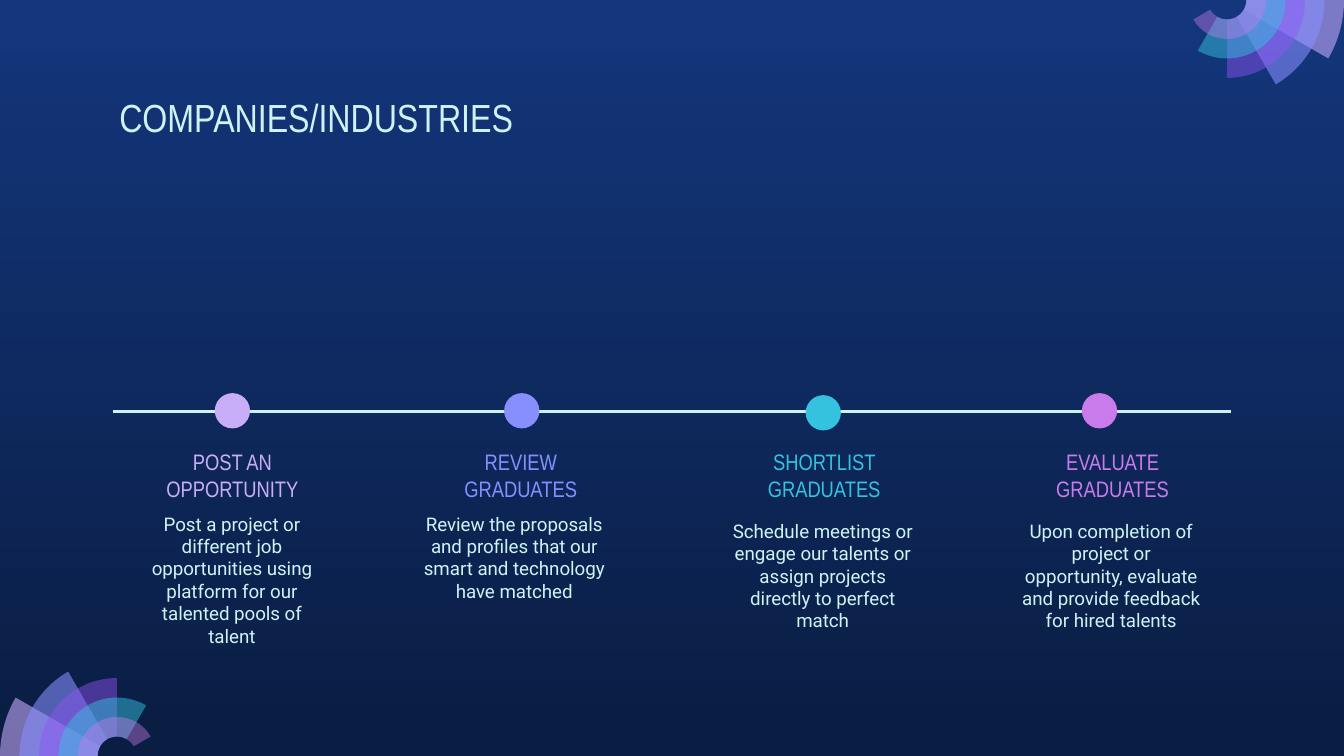
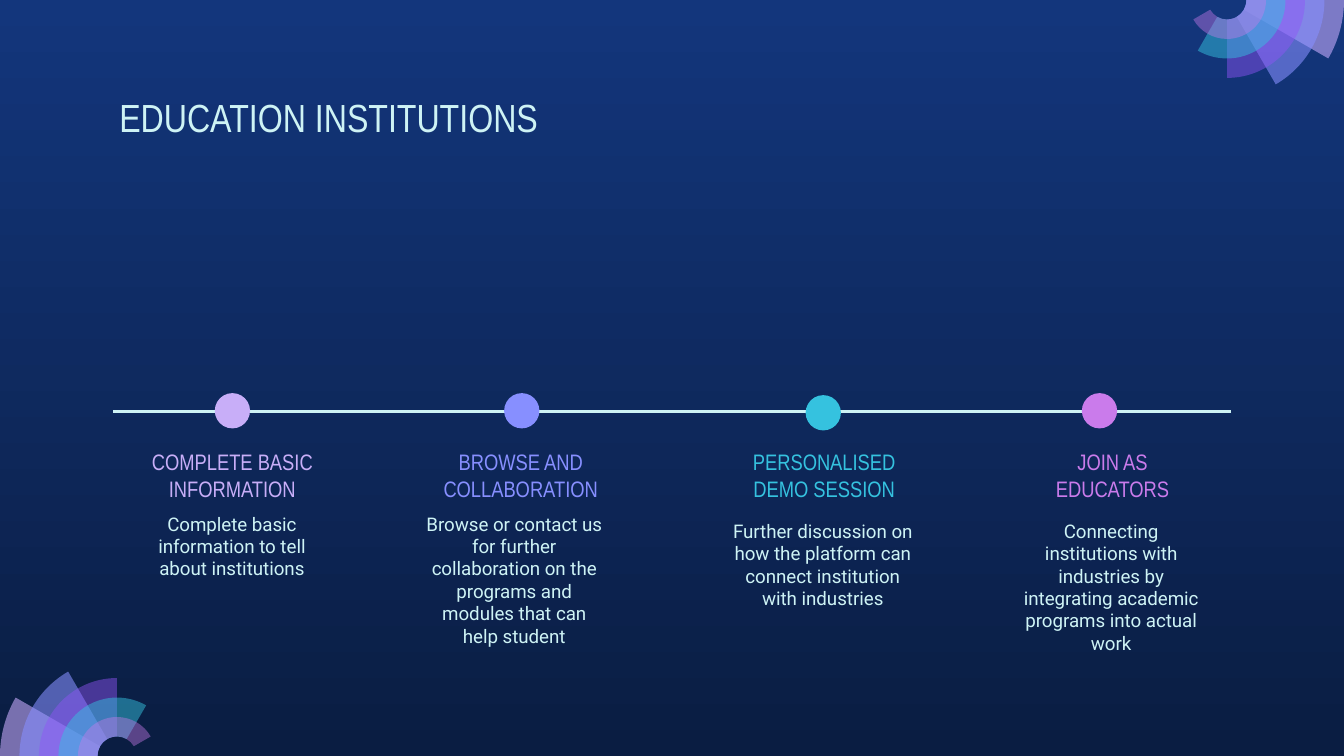
"""Build two four-step timeline slides that share corner fans, title style and gradient."""
import math
from dataclasses import dataclass

import lxml.etree
import pptx
import pptx.dml.color
import pptx.enum.shapes
import pptx.enum.text
import pptx.oxml.ns
import pptx.util

Inches = pptx.util.Inches
Pt = pptx.util.Pt
qn = pptx.oxml.ns.qn


@dataclass(frozen=True)
class Theme:
    top: str = "13367C"
    bottom: str = "0A1D42"
    ice: str = "CEF3F5"
    lilac: str = "C8AEF8"
    pale_lilac: str = "C8ACFD"
    periwinkle: str = "878FFF"
    violet: str = "9154F8"
    cyan: str = "35C2DF"
    orchid: str = "CA7BEB"
    head_font: str = "Arial Narrow"
    body_font: str = "Roboto"
    title_size: float = 28
    head_size: float = 16
    body_size: float = 13.33
    inset: float = 9.6


@dataclass(frozen=True)
class Ring:
    color: str
    alpha: int


@dataclass(frozen=True)
class Column:
    color: str
    dot: tuple[float, float]
    head: tuple[float, float]
    body: tuple[float, float]


@dataclass(frozen=True)
class Step:
    head: str
    body: str


@dataclass(frozen=True)
class Timeline:
    title: str
    steps: tuple[Step, ...]


T = Theme()
WIDTH, HEIGHT = 13.33, 7.5
FAN_RADIUS = 1.16
FAN_STEPS = 6
RINGS = (
    Ring(T.pale_lilac, 58),
    Ring(T.periwinkle, 58),
    Ring(T.violet, 46),
    Ring(T.cyan, 49),
    Ring(T.orchid, 42),
)
AXIS_Y, AXIS_LEFT, AXIS_RIGHT = 4.08, 1.12, 12.21
DOT = 0.35
HEAD_TOP, HEAD_W = 4.31, 1.93
BODY_W, BODY_H = 2.06, 1.09
COLUMNS = (
    Column(T.lilac, (2.13, 3.9), (1.34, 0.71), (1.27, 4.95)),
    Column(T.periwinkle, (5, 3.9), (4.2, 0.54), (4.07, 4.95)),
    Column(T.cyan, (7.99, 3.92), (7.21, 0.54), (7.13, 5.02)),
    Column(T.orchid, (10.73, 3.9), (10.07, 0.54), (9.99, 5.02)),
)
TIMELINES = (
    Timeline("COMPANIES/INDUSTRIES", (
        Step("POST AN OPPORTUNITY",
             "Post a project or different job opportunities using platform "
             "for our talented pools of talent"),
        Step("REVIEW GRADUATES",
             "Review the proposals and profiles that our smart and "
             "technology have matched"),
        Step("SHORTLIST GRADUATES",
             "Schedule meetings or engage our talents or assign projects "
             "directly to perfect match"),
        Step("EVALUATE GRADUATES",
             "Upon completion of project or opportunity, evaluate and "
             "provide feedback for hired talents"),
    )),
    Timeline("EDUCATION INSTITUTIONS", (
        Step("COMPLETE BASIC INFORMATION",
             "Complete basic information to tell about institutions"),
        Step("BROWSE AND COLLABORATION",
             "Browse or contact us for further collaboration on the "
             "programs and modules that can help student"),
        Step("PERSONALISED DEMO SESSION",
             "Further discussion on how the platform can connect "
             "institution with industries"),
        Step("JOIN AS EDUCATORS",
             "Connecting institutions with industries by integrating "
             "academic programs into actual work"),
    )),
)


def rgb(color: str) -> pptx.dml.color.RGBColor:
    return pptx.dml.color.RGBColor.from_string(color)


def paint(sp, color: str, alpha: int = 100) -> None:
    sp.shadow.inherit = False
    sp.fill.solid()
    sp.fill.fore_color.rgb = rgb(color)
    sp.line.fill.background()
    if alpha < 100:
        clr = sp._element.spPr.find(".//" + qn("a:srgbClr"))
        lxml.etree.SubElement(clr, qn("a:alpha"), val=str(alpha * 1000))


def add_text(s, text: str, left: float, top: float, width: float, height: float, *,
             size: float, font: str = T.head_font, color: str = T.ice,
             center: bool = True, after: float = 0) -> None:
    tf = s.shapes.add_textbox(*map(Inches, (left, top, width, height))).text_frame
    tf.word_wrap = True
    tf.vertical_anchor = pptx.enum.text.MSO_ANCHOR.TOP
    tf.margin_left = tf.margin_right = Pt(T.inset)
    tf.margin_top = tf.margin_bottom = Pt(T.inset)
    p = tf.paragraphs[0]
    align = pptx.enum.text.PP_ALIGN
    p.alignment = align.CENTER if center else align.LEFT
    p.space_after = Pt(after)
    r = p.add_run()
    r.text = text
    r.font.size = Pt(size)
    r.font.name = font
    r.font.color.rgb = rgb(color)


def curve(sp, lengths: list[int]) -> None:
    """Turn each run of three straight segments into one Bezier curve."""
    lines = iter(sp._element.findall(".//" + qn("a:lnTo")))
    for length in lengths:
        run = [next(lines) for _ in range(length)]
        if length == 3:
            bezier = lxml.etree.Element(qn("a:cubicBezTo"))
            run[0].addprevious(bezier)
            for line in run:
                bezier.append(line[0])
                line.getparent().remove(line)


def add_fan(s, cx: float, cy: float, side: int) -> None:
    unit = FAN_RADIUS / FAN_STEPS
    group = s.shapes.add_group_shape()

    def point(radius: float, degrees: float, pull: float = 0) -> tuple[int, int]:
        a = math.radians(degrees)
        x = math.cos(a) - pull * math.sin(a)
        y = math.sin(a) + pull * math.cos(a)
        return Inches(cx - side * radius * x), Inches(cy - side * radius * y)

    def arc(radius: float, stops: list[int]) -> list[list[tuple[int, int]]]:
        curves = []
        for a, b in zip(stops, stops[1:]):
            pull = 4 / 3 * math.tan(math.radians(b - a) / 4)
            curves.append([point(radius, a, pull), point(radius, b, -pull),
                           point(radius, b)])
        return curves

    for i, ring in enumerate(RINGS):
        sweep = 30 * (i + 1)
        stops = [0, sweep] if sweep <= 90 else [0, 90, sweep]
        outer = unit * (FAN_STEPS - i)
        start = point(outer, sweep)
        segments = [*arc(outer, stops[::-1]), [point(unit, 0)],
                    *arc(unit, stops), [start]]
        fb = group.shapes.build_freeform(*start, scale=1.0)
        fb.add_line_segments([pt for seg in segments for pt in seg], close=True)
        sp = fb.convert_to_shape()
        curve(sp, [len(seg) for seg in segments])
        paint(sp, ring.color, ring.alpha)


def add_axis(s) -> None:
    line = s.shapes.add_connector(
        pptx.enum.shapes.MSO_CONNECTOR.STRAIGHT,
        *map(Inches, (AXIS_RIGHT, AXIS_Y, AXIS_LEFT, AXIS_Y)))
    line.line.color.rgb = rgb(T.ice)
    line.line.width = Pt(2.25)
    lxml.etree.SubElement(line._element.spPr, qn("a:effectLst"))


def add_base(prs, title: str):
    s = prs.slides.add_slide(prs.slide_layouts[6])
    fill = s.background.fill
    fill.gradient()
    fill.gradient_angle = 270
    for stop, color, position in zip(fill.gradient_stops, (T.top, T.bottom), (0, 1)):
        stop.color.rgb = rgb(color)
        stop.position = position
    add_fan(s, FAN_RADIUS, HEIGHT, 1)
    add_fan(s, WIDTH - FAN_RADIUS, 0, -1)
    add_text(s, title, 1.05, 0.79, 11.23, 0.84, size=T.title_size, center=False)
    return s


def add_timeline(prs, timeline: Timeline) -> None:
    s = add_base(prs, timeline.title)
    add_axis(s)
    for col, step in zip(COLUMNS, timeline.steps):
        left, height = col.head
        add_text(s, step.head, left, HEAD_TOP, HEAD_W, height,
                 size=T.head_size, color=col.color)
        add_text(s, step.body, *col.body, BODY_W, BODY_H,
                 size=T.body_size, font=T.body_font, after=21.3)
    for col in COLUMNS:
        sp = s.shapes.add_shape(pptx.enum.shapes.MSO_SHAPE.OVAL,
                                *map(Inches, (*col.dot, DOT, DOT)))
        paint(sp, col.color)


def main() -> None:
    prs = pptx.Presentation()
    prs.slide_width, prs.slide_height = Inches(WIDTH), Inches(HEIGHT)
    for timeline in TIMELINES:
        add_timeline(prs, timeline)
    prs.save("out.pptx")


if __name__ == "__main__":
    main()
